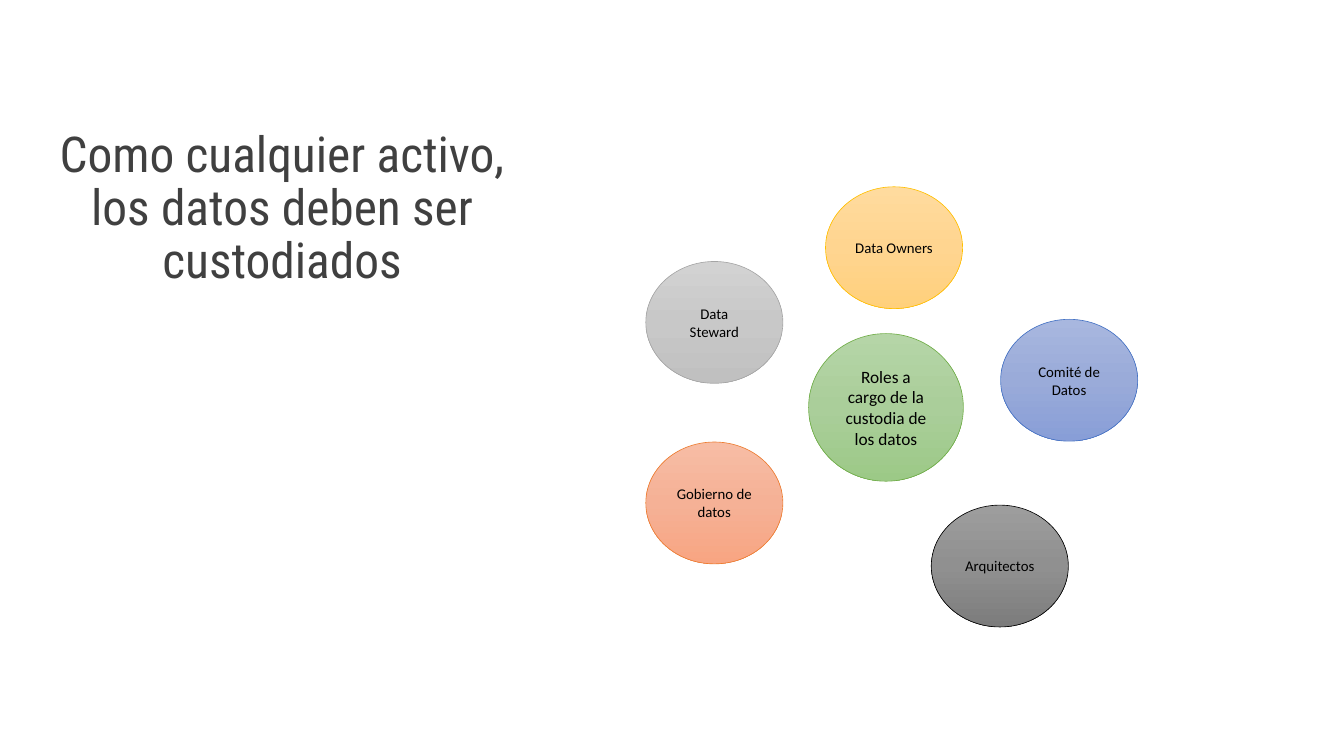
import copy

import pptx
import pptx.dml.color
import pptx.enum.shapes
import pptx.enum.text
import pptx.oxml.ns
import pptx.util

WIDE, HIGH = pptx.util.Inches(15.11), pptx.util.Inches(8.5)
SIZE = (10.2, 16.12)  # outer circles, in percent of the slide

# Text, left and top in percent, gradient from top to bottom, line
ROLES = [
    ("Gobierno de datos", 48.05, 58.47, ("F7BDA5", "F5B196", "F8A582"), "ED7D31"),
    ("Arquitectos", 69.29, 66.82, ("9D9D9D", "909090", "7C7C7C"), "000000"),
    ("Data Steward", 48.05, 34.59, ("D2D2D2", "C8C8C8", "C0C0C0"), "A5A5A5"),
    ("Data Owners", 61.42, 24.71, ("FFDB9E", "FFD590", "FFD07C"), "FFC000"),
    ("Comité de Datos", 74.45, 42.24, ("A8B7DF", "9AABD9", "889ED7"), "4472C4"),
]


def color(code):
    return pptx.dml.color.RGBColor.from_string(code)


def place(left, top, width, height):
    """Turn percentages of the slide into lengths."""
    return [round(share * side / 100) for share, side in
            ((left, WIDE), (top, HIGH), (width, WIDE), (height, HIGH))]


def write(shape, text, size, face, tint):
    """Fill a shape with one centred paragraph."""
    frame = shape.text_frame
    frame.word_wrap = True
    frame.vertical_anchor = pptx.enum.text.MSO_ANCHOR.MIDDLE
    para = frame.paragraphs[0]
    para.text = text
    para.alignment = pptx.enum.text.PP_ALIGN.CENTER
    para.font.size = pptx.util.Pt(size)
    para.font.name = face
    para.font.color.rgb = color(tint)
    return para


def blend(shape, tints):
    """Apply a three-stop gradient running downwards."""
    fill = shape.fill
    fill.gradient()
    fill.gradient_angle = 270
    first = shape._element.spPr.find(".//" + pptx.oxml.ns.qn("a:gs"))
    first.addnext(copy.deepcopy(first))
    for stop, spot, tint in zip(fill.gradient_stops, (0, 0.5, 1), tints):
        stop.position = spot
        stop.color.rgb = color(tint)


def circle(slide, text, left, top, tints, edge, area=SIZE, size=12):
    shape = slide.shapes.add_shape(
        pptx.enum.shapes.MSO_SHAPE.OVAL, *place(left, top, *area))
    shape.shadow.inherit = False
    blend(shape, tints)
    shape.line.color.rgb = color(edge)
    shape.line.width = pptx.util.Pt(0.5)
    write(shape, text, size, "Calibri", "000000")


def title(slide, text):
    box = slide.shapes.add_textbox(*place(3.38, 12.47, 35.21, 30.47))
    para = write(box, text, 40, "Roboto Condensed", "404040")
    para.line_spacing = 0.9


def main():
    deck = pptx.Presentation()
    deck.slide_width, deck.slide_height = WIDE, HIGH
    slide = deck.slides.add_slide(deck.slide_layouts[6])

    # Centre and the roles around it
    circle(slide, "Roles a cargo de la custodia de los datos", 60.16, 44.12,
           ("B5D5A7", "AACE9A", "9CC987"), "70AD47", (11.52, 19.53), 14)
    for role in ROLES:
        circle(slide, *role)

    # Heading
    title(slide, "Como cualquier activo, los datos deben ser custodiados")
    deck.save("out.pptx")


if __name__ == "__main__":
    main()
